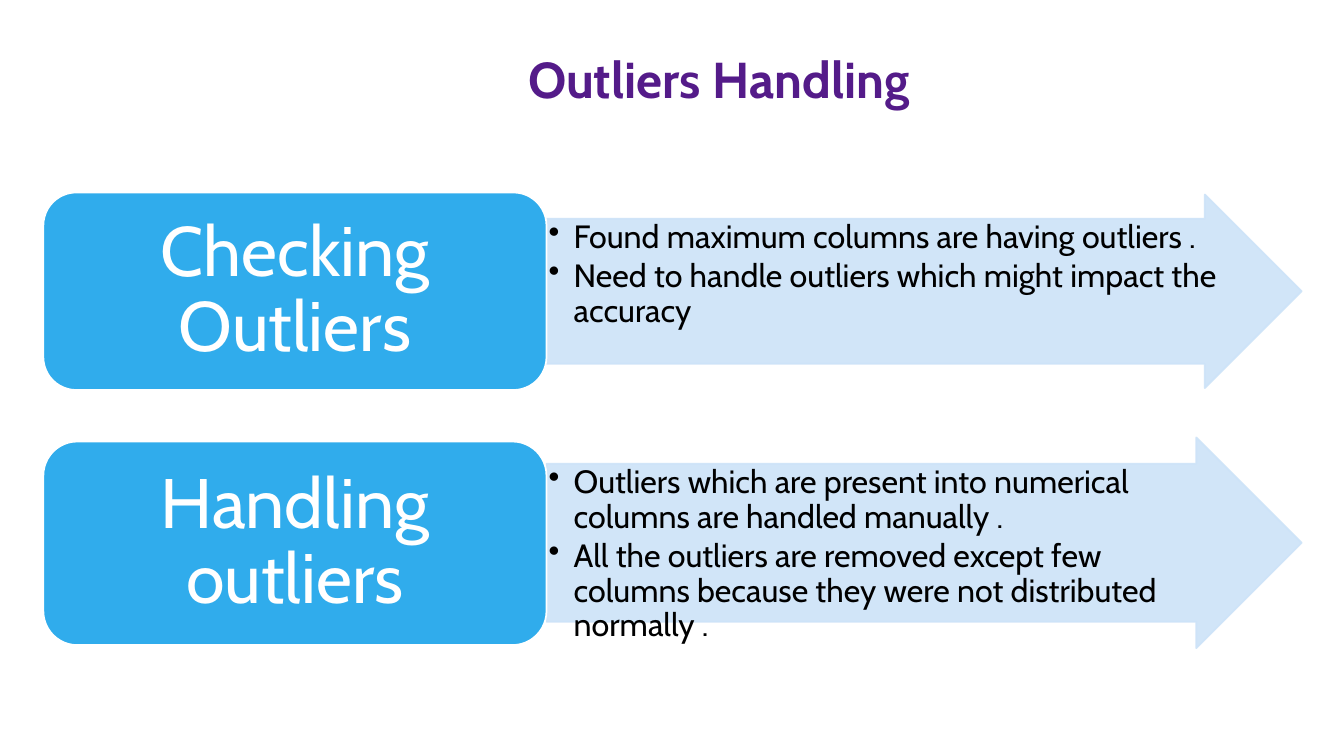
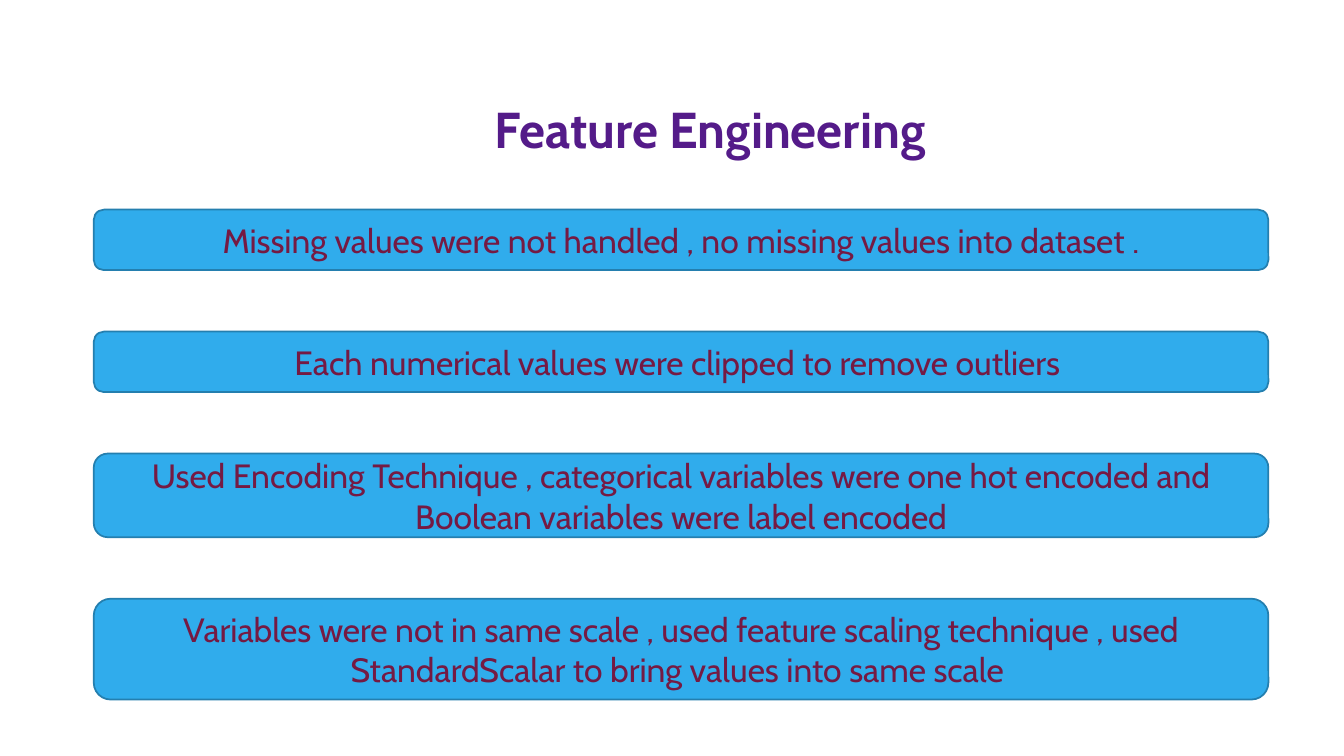
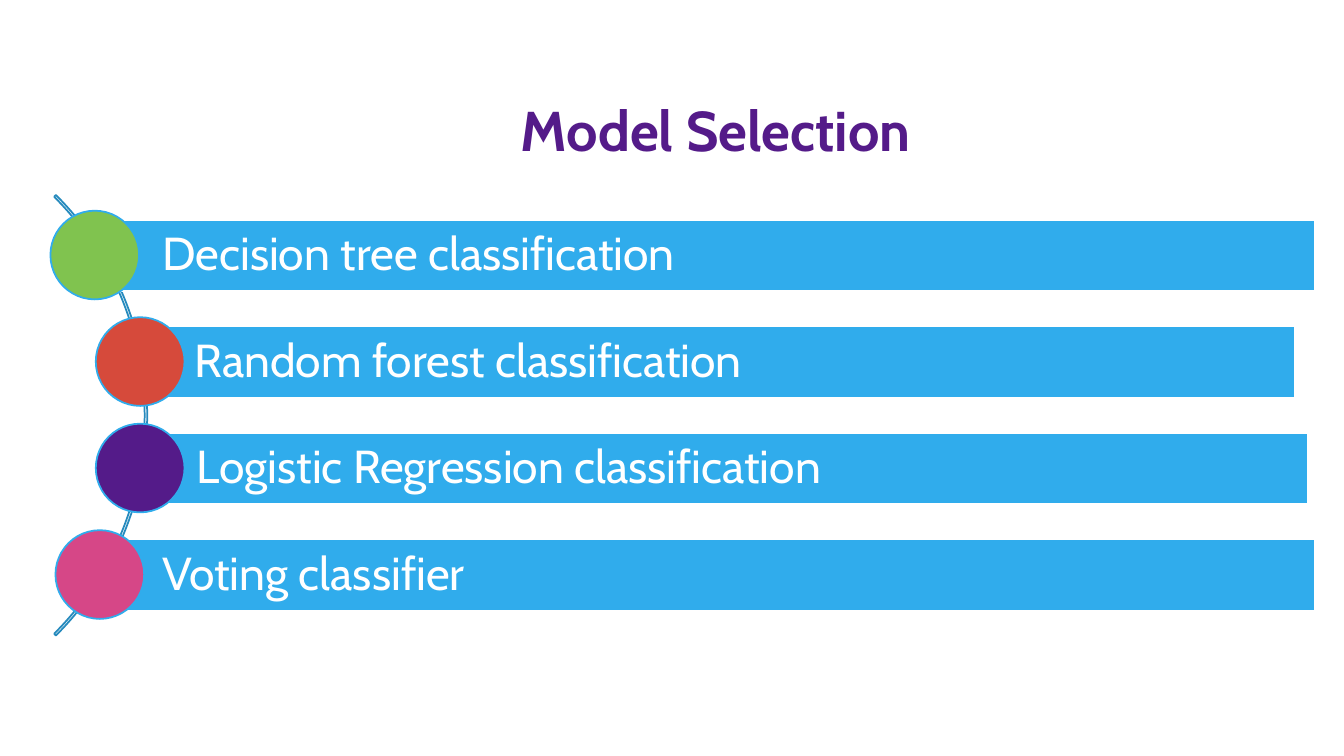
from lxml import etree
from pptx import Presentation
from pptx.dml import color
from pptx.enum import shapes, text
from pptx.oxml import ns
from pptx.util import Inches, Pt

FONT = "Cabin"
COLORS = {
    "title": "541B89", "blue": "30ACEC", "pale": "CDE3F8", "edge": "247FAF",
    "arc": "268ABD", "wine": "751A43", "white": "FFFFFF", "black": "000000",
    "green": "80C34F", "red": "D64A3B", "pink": "D64787",
}
KIND = shapes.MSO_SHAPE
ALIGN = text.PP_ALIGN
ANCHOR = text.MSO_ANCHOR
TEXT_INSETS = (0.1, 0.05, 0.1, 0.05)


def rgb(name):
    """Return the palette colour called name."""
    return color.RGBColor.from_string(COLORS[name])


def set_alpha(fill_color, percent):
    """Make a solid colour partly transparent."""
    for node in fill_color.iter(ns.qn("a:srgbClr")):
        etree.SubElement(node, ns.qn("a:alpha"), val=str(percent * 1000))


def add_bullet(paragraph):
    """Give a paragraph a hanging bullet."""
    properties = paragraph._p.get_or_add_pPr()
    properties.set("marL", str(Inches(0.25)))
    properties.set("indent", str(Inches(-0.25)))
    etree.SubElement(properties, ns.qn("a:buChar"), char="\u2022")


def write(shape, lines, size, ink, align=ALIGN.CENTER, anchor=ANCHOR.MIDDLE,
          insets=TEXT_INSETS, spacing=None, bold=False, bullets=False):
    """Write one paragraph per line into a shape."""
    frame = shape.text_frame
    frame.word_wrap = True
    frame.vertical_anchor = anchor
    (frame.margin_left, frame.margin_top,
     frame.margin_right, frame.margin_bottom) = map(Inches, insets)
    for index, line in enumerate(lines):
        paragraph = frame.add_paragraph() if index else frame.paragraphs[0]
        paragraph.alignment = align
        if spacing:
            paragraph.line_spacing = spacing
        if bullets:
            paragraph.level = 1
            paragraph.space_after = Pt(3)
            add_bullet(paragraph)
        run = paragraph.add_run()
        run.text = line
        run.font.name = FONT
        run.font.size = Pt(size)
        run.font.bold = bold
        run.font.color.rgb = rgb(ink)


def add_figure(slide, kind, box, fill, edge):
    """Add a preset shape with a fill (or none) and an outline."""
    figure = slide.shapes.add_shape(kind, *map(Inches, box))
    figure.shadow.inherit = False
    if fill:
        figure.fill.solid()
        figure.fill.fore_color.rgb = rgb(fill)
    else:
        figure.fill.background()
    figure.line.color.rgb = rgb(edge)
    figure.line.width = Pt(1.25)
    return figure


def add_titled_slide(deck, title, box, size=36):
    """Add a blank slide with the shared title style."""
    slide = deck.slides.add_slide(deck.slide_layouts[6])
    heading = slide.shapes.add_textbox(*map(Inches, box))
    write(heading, [title], size, "title", bold=True)
    return slide


def add_step(slide, step, step_top, step_height, arrow_top, arrow_height, findings):
    """Add a step box and the arrow that carries its findings."""
    arrow = add_figure(slide, KIND.RIGHT_ARROW,
                       (5.42, arrow_top, 7.49, arrow_height), "pale", "pale")
    arrow.adjustments[0] = 0.75
    set_alpha(arrow._element.spPr, 90)
    write(arrow, findings, 23, "black", ALIGN.LEFT, ANCHOR.TOP,
          (0.02,) * 4, 0.9, bullets=True)
    step_box = add_figure(slide, KIND.ROUNDED_RECTANGLE,
                          (0.43, step_top, 4.99, step_height), "blue", "white")
    write(step_box, [step], 50, "white", insets=(0.21, 0.1, 0.21, 0.1), spacing=0.9)


def build_outliers(deck):
    """Build the slide on outliers."""
    slide = add_titled_slide(deck, "Outliers Handling", (2.26, 0.38, 9.74, 0.8))
    add_step(slide, "Checking Outliers", 1.91, 1.96, 1.93, 1.92, [
        "Found maximum columns are having outliers .",
        "Need to handle outliers which might impact the accuracy "])
    add_step(slide, "Handling outliers", 4.38, 2.02, 4.34, 2.09, [
        "Outliers which are present into numerical columns are handled manually .",
        "All the outliers are removed except few columns because they were not "
        "distributed normally ."])


def build_features(deck):
    """Build the slide on feature engineering."""
    slide = add_titled_slide(deck, "Feature Engineering ", (1.62, 0.75, 10.96, 1.05))
    top, gap = 2.08, 0.61
    for height, action in (
        (0.6, "Missing values were not handled , no missing values into dataset ."),
        (0.6, "Each numerical values were clipped to remove outliers "),
        (0.83, "Used Encoding Technique , categorical variables were one hot "
               "encoded and Boolean variables were label encoded"),
        (1, "Variables were not in same scale , used feature scaling technique , "
            "used StandardScalar to bring values into same scale "),
    ):
        panel = add_figure(slide, KIND.ROUNDED_RECTANGLE,
                           (0.93, top, 11.65, height), "blue", "edge")
        write(panel, [action], 24, "wine")
        top += height + gap


def build_models(deck):
    """Build the slide on model selection."""
    slide = add_titled_slide(deck, "Model Selection", (1.62, 0.75, 10.96, 1.07), 40)
    arc = add_figure(slide, KIND.BLOCK_ARC, (-4.72, 1.03, 6.18, 6.18), None, "arc")
    for index, value in enumerate((189, 27, 0.004)):
        arc.adjustments[index] = value
    first_top, last_top = 2.18, 5.35
    models = (
        ("Decision tree classification ", 1.05, 11.99, 0.5, "green"),
        ("Random forest classification", 1.37, 11.47, 0.95, "red"),
        ("Logistic Regression classification ", 1.39, 11.58, 0.95, "title"),
        ("Voting classifier", 1.05, 11.99, 0.55, "pink"),
    )
    pitch = (last_top - first_top) / (len(models) - 1)
    for index, (model, left, width, dot_left, dot_fill) in enumerate(models):
        top = first_top + index * pitch
        bar = add_figure(slide, KIND.RECTANGLE, (left, top, width, 0.71),
                         "blue", "white")
        write(bar, [model], 33, "white", ALIGN.LEFT,
              insets=(0.56, 0.09, 0.09, 0.09), spacing=0.9)
        add_figure(slide, KIND.OVAL, (dot_left, top - 0.09, 0.88, 0.88),
                   dot_fill, "blue")


def main():
    """Build and save the deck."""
    deck = Presentation()
    deck.slide_width, deck.slide_height = Inches(13.33), Inches(7.5)
    build_outliers(deck)
    build_features(deck)
    build_models(deck)
    deck.save("out.pptx")


main()
